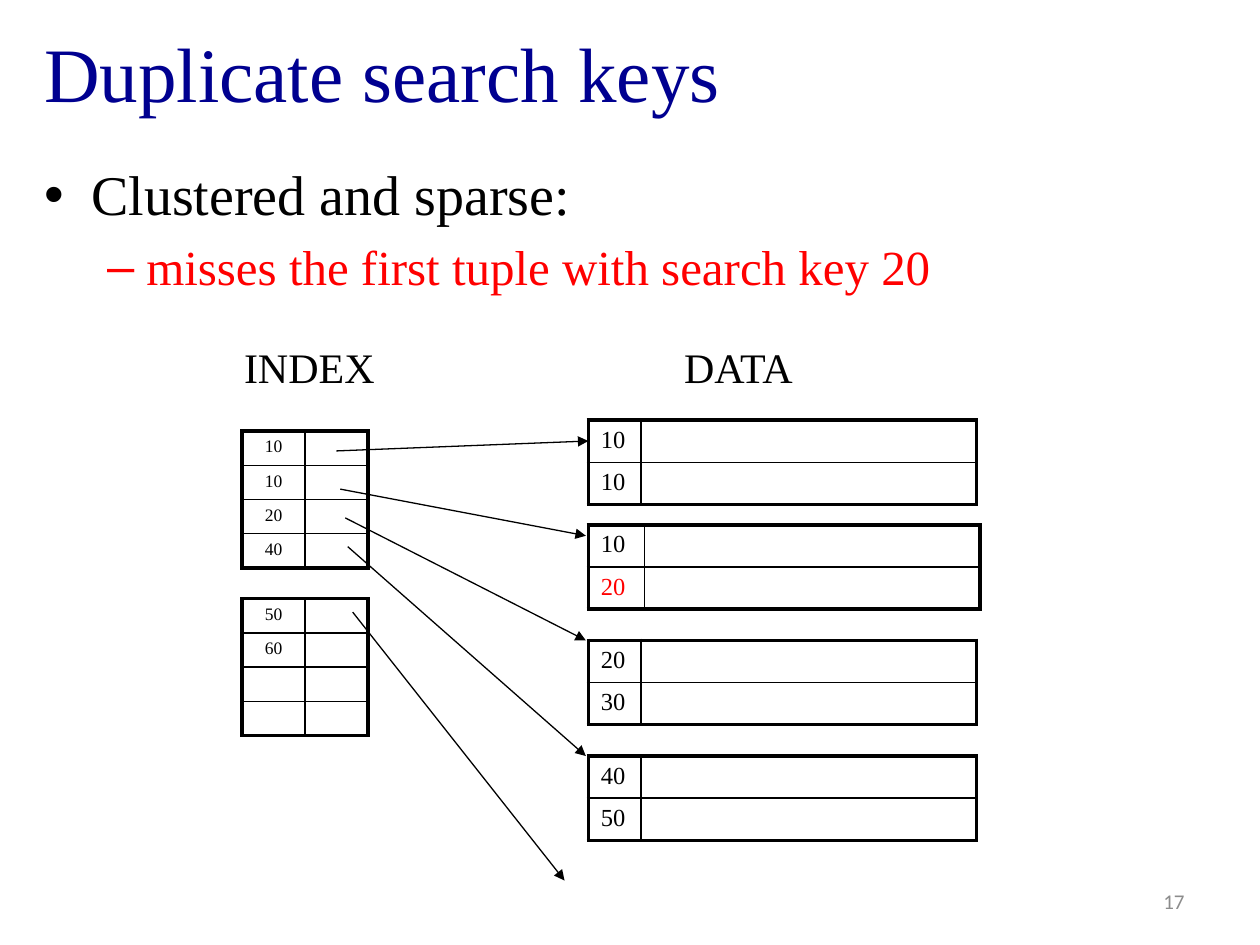
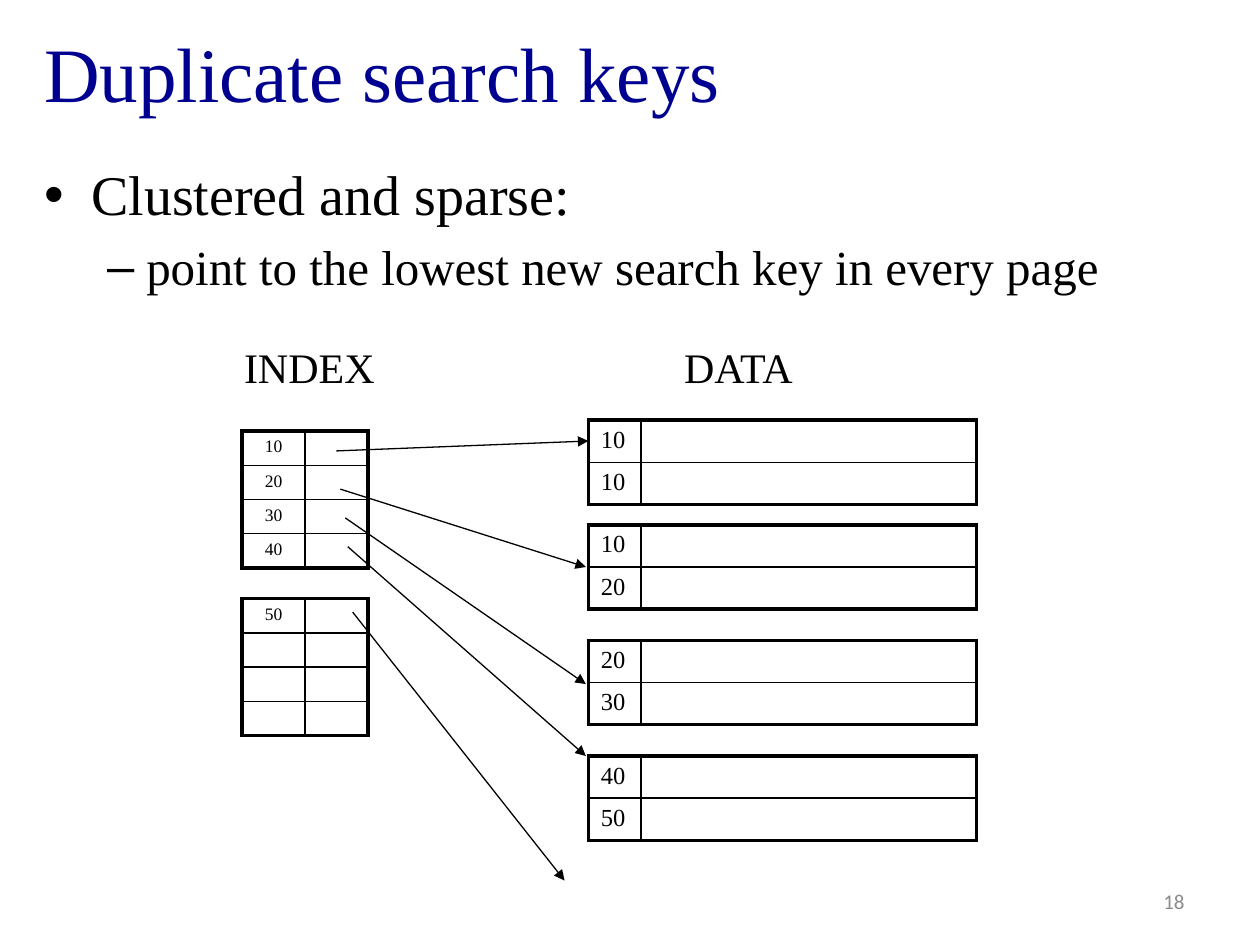
"""Builds two slides on duplicate search keys in a clustered, sparse index."""
from lxml import etree
from pptx import Presentation
from pptx import util as u
from pptx.dml.color import RGBColor
from pptx.enum import shapes, text
from pptx.oxml.ns import qn

SERIF, SANS = "Times New Roman", "Calibri"
BLACK, NAVY, RED, GREY = "000000", "000090", "FF0000", "8C8C8C"
TITLE = "Duplicate search keys"
HEAD = "Clustered and sparse:"
LABELS = [("INDEX", 4.67, 3.18), ("DATA", 13.54, 2.72)]
PAGES = [(10, 10), (10, 20), (20, 30), (40, 50)]
TOPS = [8.47, 10.58, 12.91, 15.24]
BLOCKS = [8.69, 12.07]
STARTS = [(6.78, 9.09), (6.86, 9.86), (6.96, 10.44), (7.01, 11.02), (7.11, 12.34)]
SLIDES = [
    dict(num="17", note="misses the first tuple with search key 20", tint=RED,
         index=[(10, 10, 20, 40), (50, 60, "", "")], missed=(1, 1), wide=1.13,
         ends=[(11.86, 8.89), (11.81, 10.8), (11.81, 12.91), (11.81, 15.24), (11.38, 17.75)]),
    dict(num="18", note="point to the lowest new search key in every page", tint=BLACK,
         index=[(10, 20, 30, 40), (50, "", "", "")], missed=None, wide=1.06,
         ends=[(11.86, 8.89), (11.81, 11.43), (11.81, 13.79), (11.81, 15.24), (11.38, 17.75)]),
]


def color(code):
    return RGBColor.from_string(code)


def write(par, words, size, tint=BLACK, face=SERIF, align=text.PP_ALIGN.LEFT):
    par.alignment = align
    run = par.add_run()
    run.text = words
    run.font.size, run.font.name = u.Pt(size), face
    run.font.color.rgb = color(tint)


def place(shape, *box):
    shape.left, shape.top, shape.width, shape.height = map(u.Cm, box)


def box(slide, *area, wrap=True):
    frame = slide.shapes.add_textbox(*map(u.Cm, area)).text_frame
    frame.word_wrap = wrap
    return frame


def bullet(par, mark, left, hang):
    props = par._p.get_or_add_pPr()
    props.set("marL", str(u.Cm(left)))
    props.set("indent", str(-u.Cm(hang)))
    etree.SubElement(props, qn("a:buFont"), typeface="Arial")
    etree.SubElement(props, qn("a:buChar"), char=mark)


def edge(cell, side, width):
    line = etree.SubElement(cell._tc.get_or_add_tcPr(), qn("a:ln" + side), w=str(u.Pt(width)))
    fill = etree.SubElement(line, qn("a:solidFill"))
    etree.SubElement(fill, qn("a:srgbClr"), val=BLACK)


def grid(slide, left, top, keys, cols, high, size, align, missed=None):
    count = len(keys)
    area = map(u.Cm, (left, top, sum(cols), high * count))
    table = slide.shapes.add_table(count, 2, *area).table
    table.first_row = table.horz_banding = False
    for col, width in zip(table.columns, cols):
        col.width = u.Cm(width)
    for r, key in enumerate(keys):
        table.rows[r].height = u.Cm(high)
        for c, words in enumerate((str(key), "")):
            cell = table.cell(r, c)
            par = cell.text_frame.paragraphs[0]
            if words:
                write(par, words, size, RED if r == missed else BLACK, align=align)
            else:
                etree.SubElement(par._p, qn("a:endParaRPr"), sz=str(size * 100))
            outer = {"L": c == 0, "R": c == 1, "T": r == 0, "B": r == count - 1}
            for side, thick in outer.items():
                edge(cell, side, 2.25 if thick else 1)
            cell.fill.background()


def arrow(slide, start, end):
    line = slide.shapes.add_connector(shapes.MSO_CONNECTOR.STRAIGHT, *map(u.Cm, start + end))
    line.line.color.rgb = color(BLACK)
    line.line.width = u.Pt(0.75)
    etree.SubElement(line.line._get_or_add_ln(), qn("a:tailEnd"), type="triangle")
    etree.SubElement(line._element.spPr, qn("a:effectLst"))


def frame(slide, num):
    title = slide.shapes.title
    place(title, 0.64, 0.13, 24.26, 2.64)
    title.text_frame.vertical_anchor = text.MSO_ANCHOR.MIDDLE
    write(title.text_frame.paragraphs[0], TITLE, 44, NAVY)
    foot = box(slide, 18.21, 17.65, 5.92, 1.02)
    foot.vertical_anchor = text.MSO_ANCHOR.MIDDLE
    write(foot.paragraphs[0], num, 12, GREY, SANS, text.PP_ALIGN.RIGHT)


def build(slide, data):
    frame(slide, data["num"])
    body = box(slide, 0.64, 3.1, 24.26, 15.57)
    lines = [(HEAD, 32, BLACK, "•", 0.95, 0.95), (data["note"], 28, data["tint"], "–", 2.06, 0.79)]
    for i, (words, size, tint, mark, left, hang) in enumerate(lines):
        par = body.add_paragraph() if i else body.paragraphs[0]
        par.level = i
        par.space_before = u.Pt(size * 0.2)
        bullet(par, mark, left, hang)
        write(par, words, size, tint)
    for words, left, width in LABELS:
        label = box(slide, left, 6.76, width, 1.28, wrap=False)
        label.auto_size = text.MSO_AUTO_SIZE.SHAPE_TO_FIT_TEXT
        write(label.paragraphs[0], words, 24)
    for top, keys in zip(BLOCKS, data["index"]):
        grid(slide, 4.88, top, keys, (1.27, 1.27), 0.69, 10, text.PP_ALIGN.CENTER)
    for i, (top, keys) in enumerate(zip(TOPS, PAGES)):
        page, row = data["missed"] or (None, None)
        first = data["wide"] if i == 1 else 1.06
        grid(slide, 11.86, top, keys, (first, 6.77), 0.85, 14, text.PP_ALIGN.LEFT,
             row if i == page else None)
    for start, end in zip(STARTS, data["ends"]):
        arrow(slide, start, end)


def main():
    deck = Presentation()
    deck.slide_width, deck.slide_height = u.Cm(25.4), u.Cm(19.05)
    for data in SLIDES:
        build(deck.slides.add_slide(deck.slide_layouts[5]), data)
    deck.save("out.pptx")


if __name__ == "__main__":
    main()
